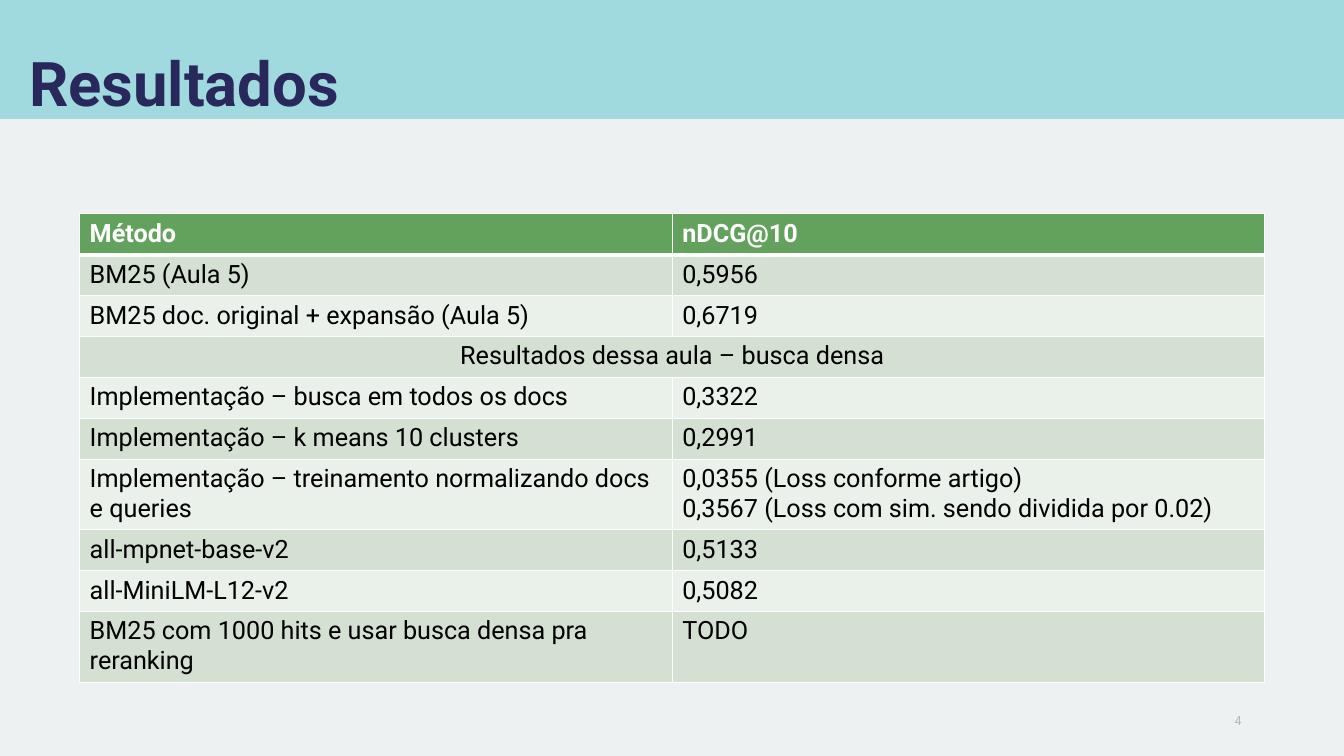
from lxml import etree
from pptx import Presentation
from pptx.dml.color import RGBColor
from pptx.enum.shapes import MSO_SHAPE
from pptx.enum.text import MSO_ANCHOR, PP_ALIGN
from pptx.oxml.ns import qn
from pptx.util import Pt

RECT = MSO_SHAPE.RECTANGLE
MIDDLE, BOTTOM = MSO_ANCHOR.MIDDLE, MSO_ANCHOR.BOTTOM
LEFT, CENTER, RIGHT = PP_ALIGN.LEFT, PP_ALIGN.CENTER, PP_ALIGN.RIGHT

TITLE = "Resultados"
PAGE_NUMBER = "4"
# A row with a single entry spans the whole table.
ROWS = [
    ("Método", "nDCG@10"),
    ("BM25 (Aula 5)", "0,5956"),
    ("BM25 doc. original + expansão (Aula 5)", "0,6719"),
    ("Resultados dessa aula – busca densa",),
    ("Implementação – busca em todos os docs", "0,3322"),
    ("Implementação – k means 10 clusters", "0,2991"),
    ("Implementação – treinamento normalizando docs e queries",
     "0,0355 (Loss conforme artigo)\n"
     "0,3567 (Loss com sim. sendo dividida por 0.02)"),
    ("all-mpnet-base-v2", "0,5133"),
    ("all-MiniLM-L12-v2", "0,5082"),
    ("BM25 com 1000 hits e usar busca densa pra reranking", "TODO"),
]

THEME = {
    "font": "Roboto",
    "background": "EDF1F2", "band": "A0DADE", "title": "29285D",
    "number": "A7BBC0", "header": "62A25D", "header_text": "FFFFFF",
    "stripes": ("EAF0EA", "D3E0D2"), "text": "000000", "border": "FFFFFF",
    "title_size": 44, "table_size": 18, "number_size": 9,
    "thin": 1, "thick": 3,
}

SLIDE_W, SLIDE_H = 960, 540
BAND_H = 85
TITLE_BOX = (13.7, 31.7, 892, 57.6)
NUMBER_BOX = (678, 500.4, 216, 28.8)
TABLE_LEFT, TABLE_TOP = 56.9, 152.8
COLUMN_W, ROW_H, COLUMNS = 423.3, 29.2, 2


def color(name):
    """Turn a hex string into a colour."""
    return RGBColor.from_string(name)


def write(tf, text, size, fill, bold=False, align=LEFT):
    """Set the text of a frame and format all its runs."""
    tf.text = text
    for p in tf.paragraphs:
        p.alignment = align
        for r in p.runs:
            r.font.name = THEME["font"]
            r.font.size = Pt(size)
            r.font.bold = bold
            r.font.color.rgb = color(fill)


def add_label(slide, box, anchor, *style, **options):
    """Add a text box and return its text frame."""
    tf = slide.shapes.add_textbox(*map(Pt, box)).text_frame
    tf.word_wrap = True
    tf.vertical_anchor = anchor
    write(tf, *style, **options)
    return tf


def add_band(slide):
    """Draw the coloured band behind the title."""
    sp = slide.shapes.add_shape(RECT, 0, 0, Pt(SLIDE_W), Pt(BAND_H))
    sp.shadow.inherit = False
    sp.fill.solid()
    sp.fill.fore_color.rgb = color(THEME["band"])
    sp.line.fill.background()


def set_borders(cell, top, bottom):
    """Give a cell its four borders; call before setting the fill."""
    tc_pr = cell._tc.get_or_add_tcPr()
    thin = THEME["thin"]
    for side, width in zip("LRTB", (thin, thin, top, bottom)):
        ln = etree.SubElement(tc_pr, qn(f"a:ln{side}"), w=str(Pt(width)))
        solid = etree.SubElement(ln, qn("a:solidFill"))
        etree.SubElement(solid, qn("a:srgbClr"), val=THEME["border"])


def add_results(slide):
    """Add the striped table of results."""
    table = slide.shapes.add_table(
        len(ROWS), COLUMNS, Pt(TABLE_LEFT), Pt(TABLE_TOP),
        Pt(COLUMN_W * COLUMNS), Pt(ROW_H * len(ROWS))).table
    for column in table.columns:
        column.width = Pt(COLUMN_W)
    for i, values in enumerate(ROWS):
        table.rows[i].height = Pt(ROW_H)
        header, spans = i == 0, len(values) == 1
        fill = THEME["header"] if header else THEME["stripes"][i % 2]
        text_color = THEME["header_text"] if header else THEME["text"]
        top = THEME["thick"] if i == 1 else THEME["thin"]
        bottom = THEME["thick"] if header else THEME["thin"]
        for j in range(COLUMNS):
            cell = table.cell(i, j)
            set_borders(cell, top, bottom)
            cell.fill.solid()
            cell.fill.fore_color.rgb = color(fill)
        if spans:
            table.cell(i, 0).merge(table.cell(i, COLUMNS - 1))
        for j, value in enumerate(values):
            write(table.cell(i, j).text_frame, value, THEME["table_size"],
                  text_color, bold=header, align=CENTER if spans else LEFT)


def main():
    """Build the slide and save it."""
    prs = Presentation()
    prs.slide_width, prs.slide_height = Pt(SLIDE_W), Pt(SLIDE_H)
    slide = prs.slides.add_slide(prs.slide_layouts[6])
    slide.background.fill.solid()
    slide.background.fill.fore_color.rgb = color(THEME["background"])
    add_band(slide)
    title = add_label(slide, TITLE_BOX, BOTTOM, TITLE, THEME["title_size"],
                      THEME["title"], bold=True)
    title.paragraphs[0].line_spacing = 0.9
    add_label(slide, NUMBER_BOX, MIDDLE, PAGE_NUMBER, THEME["number_size"],
              THEME["number"], align=RIGHT)
    add_results(slide)
    prs.save("out.pptx")


main()
